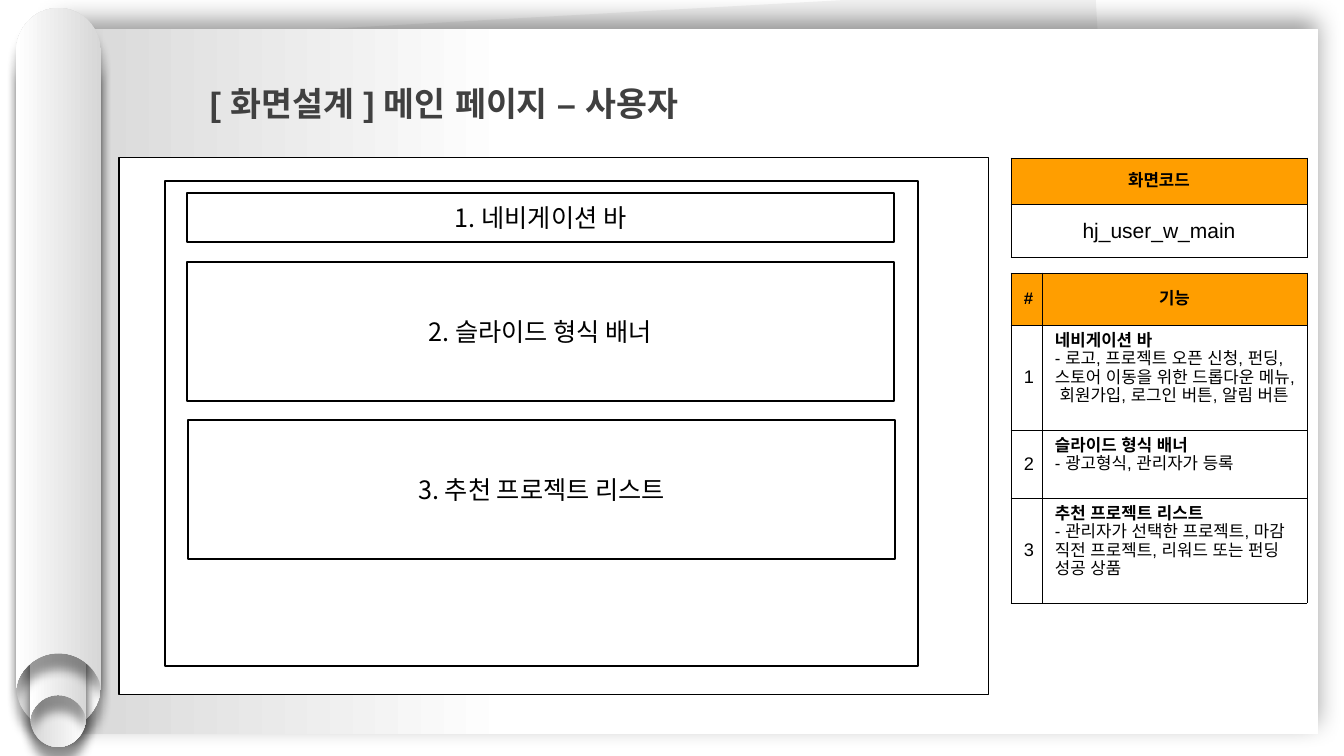
from dataclasses import dataclass

from lxml.etree import SubElement
from pptx import Presentation
from pptx.dml.color import RGBColor
from pptx.enum.shapes import MSO_SHAPE
from pptx.enum.text import MSO_ANCHOR, MSO_AUTO_SIZE, PP_ALIGN
from pptx.oxml import parse_xml
from pptx.oxml.ns import nsdecls, qn
from pptx.util import Emu, Pt

SCALE = 914400 / 100.8


@dataclass(frozen=True)
class Theme:
    """Colours, fonts and type sizes of the slide."""
    black: str = "000000"
    white: str = "FFFFFF"
    shade: str = "D7D7D7"
    under: str = "F2F2F2"
    accent: str = "FF9E00"
    heading: str = "404040"
    font: str = "Arial"
    box_font: str = "Noto Sans CJK KR"
    title: int = 24
    box: int = 18
    code: int = 15
    number: int = 13
    body: int = 12


T = Theme()


def px(*values):
    """Turn pixels into EMU."""
    return [Emu(round(v * SCALE)) for v in values]


def style(p, size, bold=False, color=T.black, name=T.font, align=PP_ALIGN.LEFT):
    """Set the alignment and the Latin and East Asian font of a paragraph."""
    p.alignment = align
    f = p.font
    f.size, f.bold, f.name = Pt(size), bold, name
    f.color.rgb = RGBColor.from_string(color)
    for latin in p._p.iter(qn("a:latin")):
        latin.addnext(parse_xml(f'<a:ea {nsdecls("a")} typeface="{name}"/>'))


def fill_gradient(s, stops, angle):
    """Fill a shape with a linear gradient of two (position, colour) stops."""
    s.fill.gradient()
    s.fill.gradient_angle = angle
    for stop, (position, color) in zip(s.fill.gradient_stops, stops):
        stop.position = position
        stop.color.rgb = RGBColor.from_string(color)


def add_shadow(s, blur, dist, direction):
    """Give a shape a soft black shadow; lengths in points, angle in degrees."""
    s.shadow.inherit = False
    effects = s._element.spPr.find(qn("a:effectLst"))
    outer = SubElement(effects, qn("a:outerShdw"), blurRad=str(Pt(blur)),
                       dist=str(Pt(dist)), dir=str(direction * 60000),
                       algn="ctr", rotWithShape="0")
    color = SubElement(outer, qn("a:srgbClr"), val=T.black)
    SubElement(color, qn("a:alpha"), val="40000")


def add_rect(sp, box, fill=None, line=None, text=None):
    """Add a rectangle with optional fill, outline width and centred text."""
    s = sp.add_shape(MSO_SHAPE.RECTANGLE, *px(*box))
    s.shadow.inherit = False
    if fill:
        s.fill.solid()
        s.fill.fore_color.rgb = RGBColor.from_string(fill)
    else:
        s.fill.background()
    if line:
        s.line.width = Pt(line)
        s.line.color.rgb = RGBColor.from_string(T.black)
    else:
        s.line.fill.background()
    if text:
        tf = s.text_frame
        tf.word_wrap, tf.vertical_anchor = True, MSO_ANCHOR.MIDDLE
        tf.text = text
        style(tf.paragraphs[0], T.box, name=T.box_font, align=PP_ALIGN.CENTER)
    return s


def bend(s, kinds):
    """Turn each run of three line steps marked C into one Bezier curve."""
    steps = iter(list(s._element.iter(qn("a:lnTo"))))
    for kind in kinds:
        first = next(steps)
        if kind == "C":
            first.tag = qn("a:cubicBezTo")
            for _ in range(2):
                step = next(steps)
                first.append(step[0])
                step.getparent().remove(step)


def add_tube(sp, left, width, round_y, cap, tip_y, notch, angle):
    """Add a scroll tube: one end rounded, the other cut by an inward arc."""
    way = 1 if round_y > tip_y else -1
    cap, notch = way * cap, way * notch
    half = [(0.5, round_y), (0.22, round_y), (0, round_y - 0.45 * cap),
            (0, round_y - cap), (0, tip_y), (0.02, tip_y + 0.2 * notch),
            (0.1, tip_y + 0.69 * notch), (0.29, tip_y + notch),
            (0.5, tip_y + notch)]
    outline = half + [(1 - x, y) for x, y in half[-2::-1]]
    points = [px(left + x * width, y) for x, y in outline]
    builder = sp.build_freeform(*points[0], scale=1.0)
    builder.add_line_segments(points[1:], close=True)
    s = builder.convert_to_shape()
    bend(s, "CLLCCLLC")
    fill_gradient(s, [(0, T.shade), (1, T.white)], angle)
    s.line.fill.background()
    add_shadow(s, 7, 11, 90)


def fill_cell(cell, lines, size, bold=False, fill=None, centred=True):
    """Write a cell; a left-aligned cell has a bold first line."""
    cell.margin_left = cell.margin_right = px(13)[0]
    cell.margin_top = cell.margin_bottom = px(7)[0]
    cell.vertical_anchor = MSO_ANCHOR.MIDDLE if centred else MSO_ANCHOR.TOP
    if fill:
        cell.fill.solid()
        cell.fill.fore_color.rgb = RGBColor.from_string(fill)
    else:
        cell.fill.background()
    tf = cell.text_frame
    tf.text = "\n".join(lines)
    for i, p in enumerate(tf.paragraphs):
        if centred:
            style(p, size, bold, align=PP_ALIGN.CENTER)
        else:
            style(p, size, i == 0)
            p.line_spacing = Pt(13)
    tc_pr = cell._tc.get_or_add_tcPr()
    for i, side in enumerate("LRTB"):
        tc_pr.insert(i, parse_xml(
            f'<a:ln{side} {nsdecls("a")} w="{Pt(0.75)}"><a:solidFill>'
            f'<a:srgbClr val="{T.black}"/></a:solidFill></a:ln{side}>'))


def add_grid(sp, left, top, widths, heights):
    """Add an unstyled table with the given column widths and row heights."""
    box = px(left, top, sum(widths), sum(heights))
    table = sp.add_table(len(heights), len(widths), *box).table
    table.first_row = table.horz_banding = False
    for column, width in zip(table.columns, px(*widths)):
        column.width = width
    for row, height in zip(table.rows, px(*heights)):
        row.height = height
    return table


def add_scroll(sp):
    """Draw the paper sheet and the rolled tube on its left."""
    add_rect(sp, (92, 14, 1023, 685), T.under).rotation = 356.8
    page = add_rect(sp, (58, 29, 1260, 705), T.white)
    fill_gradient(page, [(0.64, T.white), (1, T.shade)], 180)
    add_shadow(page, 18, 6, 270)
    outer, inner = (16, 85), (30, 56)
    roll = sp.add_group_shape().shapes
    add_tube(roll, *outer, 729, 44, 48, 35, 0)
    add_tube(roll, *inner, 747, 30, 290, 24, 0)
    add_tube(roll, *inner, 263, 30, 719, 24, 180)
    add_tube(roll, *outer, 8, 44, 688, 35, 180)


def add_title(sp, text):
    """Add the slide heading."""
    tf = sp.add_textbox(*px(200, 58, 969, 64)).text_frame
    tf.word_wrap, tf.auto_size = True, MSO_AUTO_SIZE.SHAPE_TO_FIT_TEXT
    tf.text = text
    p = tf.paragraphs[0]
    p.line_spacing = 1.5
    style(p, T.title, True, T.heading)


def add_code_table(sp):
    """Add the table with the screen code."""
    code = add_grid(sp, 1011, 158, [296], [46, 54])
    fill_cell(code.cell(0, 0), ["화면코드"], T.body, True, T.accent)
    fill_cell(code.cell(1, 0), ["hj_user_w_main"], T.code)


def add_feature_table(sp):
    """Add the table that explains each numbered section."""
    features = [
        ("네비게이션 바", "- 로고, 프로젝트 오픈 신청, 펀딩, 스토어 이동을 위한 "
                     "드롭다운 메뉴, 회원가입, 로그인 버튼, 알림 버튼"),
        ("슬라이드 형식 배너", "- 광고형식, 관리자가 등록"),
        ("추천 프로젝트 리스트", "- 관리자가 선택한 프로젝트, 마감 직전 프로젝트, "
                         "리워드 또는 펀딩 성공 상품"),
    ]
    grid = add_grid(sp, 1011, 273, [31, 265], [52, 105, 68, 105])
    for i, heading in enumerate(["#", "기능"]):
        fill_cell(grid.cell(0, i), [heading], T.body, True, T.accent)
    for i, lines in enumerate(features, 1):
        fill_cell(grid.cell(i, 0), [str(i)], T.number)
        fill_cell(grid.cell(i, 1), lines, T.body, centred=False)


def add_wireframe(sp):
    """Draw the page mock-up and its three sections."""
    add_rect(sp, (165, 181, 753, 485), line=1)
    sections = [(187, 193, 49, "1. 네비게이션 바"),
                (187, 262, 139, "2. 슬라이드 형식 배너"),
                (188, 420, 139, "3. 추천 프로젝트 리스트")]
    for left, top, height, text in sections:
        add_rect(sp, (left, top, 707, height), line=1, text=text)


def main():
    """Build and save the slide."""
    prs = Presentation()
    prs.slide_width, prs.slide_height = px(1344, 756)
    sp = prs.slides.add_slide(prs.slide_layouts[6]).shapes
    add_scroll(sp)
    add_title(sp, "[ 화면설계 ] 메인 페이지 – 사용자")
    add_code_table(sp)
    add_rect(sp, (119, 158, 870, 537), T.white, 0.75)
    add_feature_table(sp)
    add_wireframe(sp)
    prs.save("out.pptx")


main()
